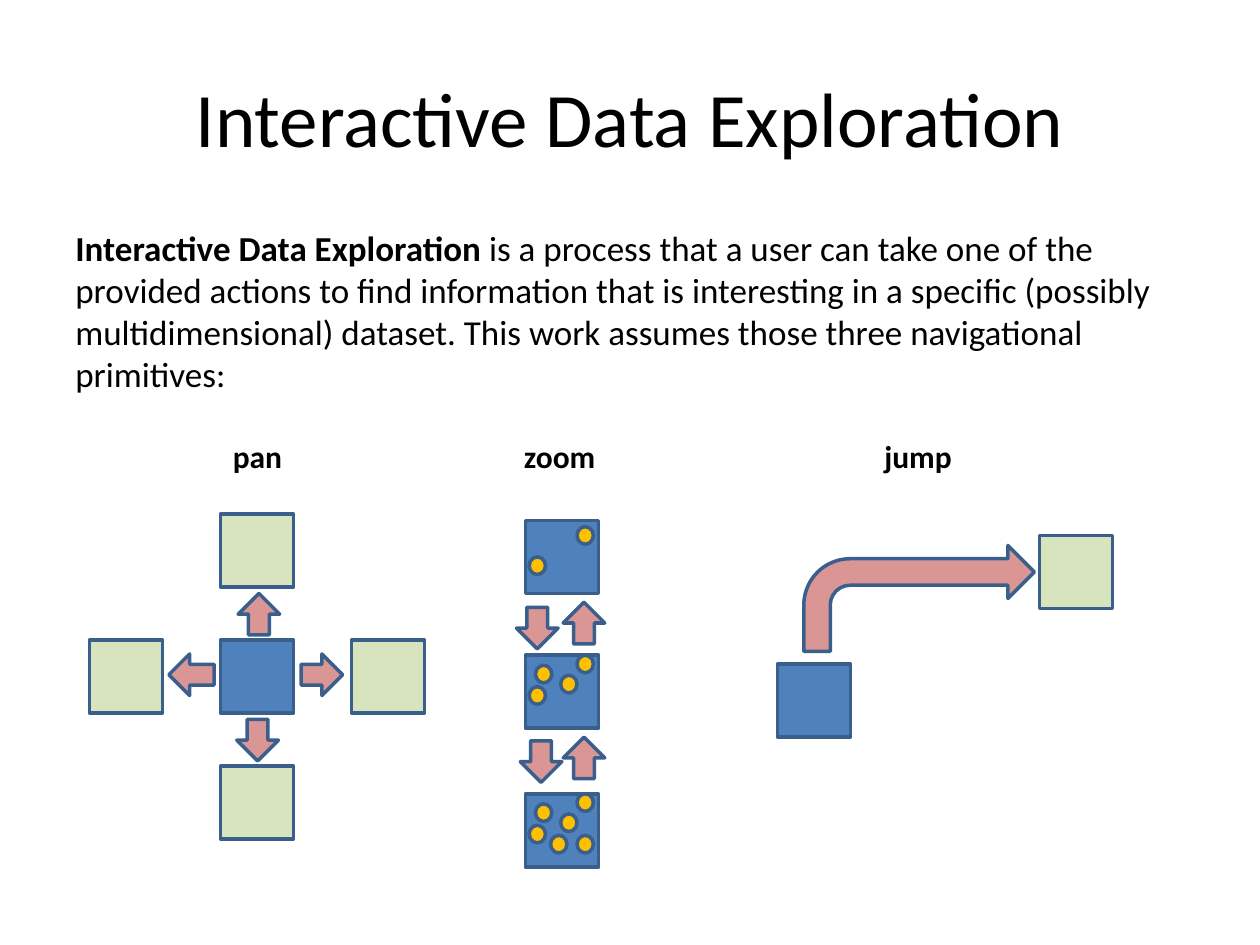
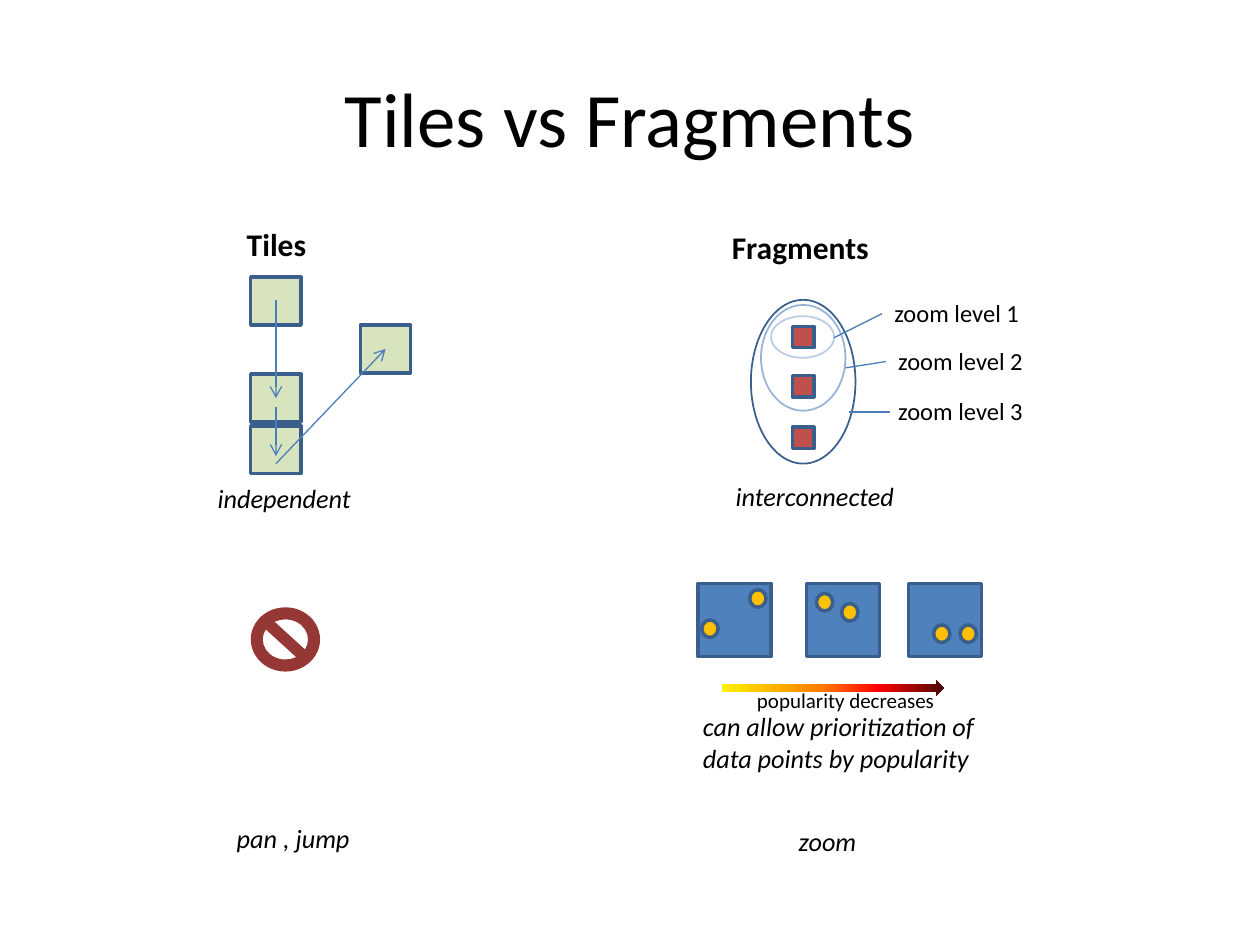
from lxml import etree
from pptx import Presentation
from pptx.dml.color import RGBColor
from pptx.enum.shapes import MSO_CONNECTOR, MSO_SHAPE
from pptx.enum.text import MSO_ANCHOR, MSO_AUTO_SIZE, PP_ALIGN
from pptx.oxml.ns import qn
from pptx.util import Inches, Pt

RECT, OVAL = MSO_SHAPE.RECTANGLE, MSO_SHAPE.OVAL
UP, DOWN = MSO_SHAPE.UP_ARROW, MSO_SHAPE.DOWN_ARROW
LEFT, RIGHT = MSO_SHAPE.LEFT_ARROW, MSO_SHAPE.RIGHT_ARROW
BENT, FORBIDDEN = MSO_SHAPE.BENT_ARROW, MSO_SHAPE.NO_SYMBOL
STRAIGHT = MSO_CONNECTOR.STRAIGHT
CENTER, TOP, MIDDLE = PP_ALIGN.CENTER, MSO_ANCHOR.TOP, MSO_ANCHOR.MIDDLE
NO_AUTOFIT = MSO_AUTO_SIZE.NONE

BLACK = RGBColor(0x00, 0x00, 0x00)
BLUE = RGBColor(0x4F, 0x81, 0xBD)
OUTLINE = RGBColor(0x3A, 0x5F, 0x8C)
CONNECTOR = RGBColor(0x4B, 0x7E, 0xBC)
GREEN = RGBColor(0xD7, 0xE4, 0xBD)
PINK = RGBColor(0xD9, 0x96, 0x94)
RED = RGBColor(0xC0, 0x50, 0x4D)
DARK_RED = RGBColor(0x95, 0x37, 0x35)
YELLOW = RGBColor(0xFF, 0xC0, 0x00)
LEVEL_1 = RGBColor(0xB9, 0xCD, 0xE5)
LEVEL_2 = RGBColor(0x95, 0xB3, 0xD7)
HEAT = [(0, "FFF200"), (45, "FF7A00"), (70, "FF0300"), (100, "4D0808")]

FONT = "Calibri"
TILE = 0.58
ARROW = 0.33

# Data points, as offsets inside a tile, grouped by the zoom level that adds them
POPULAR = [(0.03, 0.29), (0.41, 0.05)]
COMMON = [(0.08, 0.08), (0.28, 0.16)]
RARE = [(0.2, 0.33), (0.41, 0.33)]
EDGE = [(0.03, 0.25), (0.41, 0)]


def add_text(slide, text, x, y, w, h, size, bold=None, italic=None, wrap=False, anchor=TOP):
    tf = slide.shapes.add_textbox(Inches(x), Inches(y), Inches(w), Inches(h)).text_frame
    tf.word_wrap = wrap
    tf.auto_size = NO_AUTOFIT
    tf.vertical_anchor = anchor
    p = tf.paragraphs[0]
    p.add_run().text = text
    p.font.name = FONT
    p.font.size = Pt(size)
    p.font.color.rgb = BLACK
    p.font.bold = bold
    p.font.italic = italic
    return p


def add_title(slide, text):
    p = add_text(slide, text, 0.5, 0.3, 9, 1.25, 44, wrap=True, anchor=MIDDLE)
    p.alignment = CENTER


def add_heading(slide, text, x, y, w):
    add_text(slide, text, x, y, w, 0.4, 18, bold=True)


def add_caption(slide, text, x, y, w, h=0.35, wrap=False):
    add_text(slide, text, x, y, w, h, 15, italic=True, wrap=wrap)


def add_shape(slide, kind, x, y, w, h, fill=None, line=OUTLINE, width=2):
    sp = slide.shapes.add_shape(kind, Inches(x), Inches(y), Inches(w), Inches(h))
    sp.shadow.inherit = False
    if fill is None:
        sp.fill.background()
    else:
        sp.fill.solid()
        sp.fill.fore_color.rgb = fill
    if line is None:
        sp.line.fill.background()
    else:
        sp.line.color.rgb = line
        sp.line.width = Pt(width)
    return sp


def add_tile(slide, x, y, fill, points=()):
    """Square tile with the given data points on it."""
    add_shape(slide, RECT, x, y, TILE, TILE, fill)
    for dx, dy in points:
        add_shape(slide, OVAL, x + dx, y + dy, 0.13, 0.14, YELLOW)


def add_arrow(slide, kind, x, y, w=ARROW, h=ARROW):
    add_shape(slide, kind, x, y, w, h, PINK)


def add_line(slide, start, end, arrow=False):
    c = slide.shapes.add_connector(STRAIGHT, *(Inches(v) for v in (*start, *end)))
    c.line.color.rgb = CONNECTOR
    c.line.width = Pt(0.75)
    if arrow:
        etree.SubElement(c.line._get_or_add_ln(), qn("a:tailEnd"), type="arrow")
    etree.SubElement(c._element.spPr, qn("a:effectLst"))
    return c


def fill_gradient(sp, stops):
    sp.fill.gradient()
    sp.fill.gradient_angle = 0
    gs_list = sp._element.spPr.find(".//" + qn("a:gsLst"))
    for gs in list(gs_list):
        gs_list.remove(gs)
    for percent, color in stops:
        gs = etree.SubElement(gs_list, qn("a:gs"), pos=str(percent * 1000))
        etree.SubElement(gs, qn("a:srgbClr"), val=color)


def draw_pan(slide):
    add_heading(slide, "pan", 1.75, 3.42, 0.6)
    x, y = 1.75, 5.08
    add_tile(slide, x, y, BLUE)
    for dx, dy in [(1.04, 0), (-1.04, 0), (0, 1), (0, -1)]:
        add_tile(slide, x + dx, y + dy, GREEN)
    add_arrow(slide, DOWN, 1.88, 5.71)
    add_arrow(slide, UP, 1.89, 4.71)
    add_arrow(slide, RIGHT, 2.39, 5.19)
    add_arrow(slide, LEFT, 1.34, 5.19, w=0.36)


def draw_zoom(slide):
    add_heading(slide, "zoom", 4.06, 3.42, 0.77)
    levels = [(4.13, POPULAR), (5.2, COMMON + EDGE), (6.3, COMMON + EDGE + RARE)]
    for y, points in levels:
        add_tile(slide, 4.17, y, BLUE, points)
    for down_x, down_y, up_y in [(4.1, 4.82, 4.78), (4.13, 5.88, 5.85)]:
        add_arrow(slide, DOWN, down_x, down_y)
        add_arrow(slide, UP, 4.47, up_y)


def draw_jump(slide):
    add_heading(slide, "jump", 6.92, 3.42, 0.74)
    add_tile(slide, 6.17, 5.27, BLUE)
    add_tile(slide, 8.25, 4.25, GREEN)
    add_arrow(slide, BENT, 6.38, 4.33, 1.83, 0.84)


def exploration_slide(slide):
    add_title(slide, "Interactive Data Exploration")
    p = add_text(slide, "Interactive Data Exploration ", 0.5, 1.75, 9, 4.95, 20, wrap=True)
    p.space_before = Pt(4)
    p.runs[0].font.bold = True
    p.add_run().text = (
        "is a process that a user can take one of the provided actions to find "
        "information that is interesting in a specific (possibly multidimensional) "
        "dataset. This work assumes those three navigational primitives:")
    draw_pan(slide)
    draw_zoom(slide)
    draw_jump(slide)


def draw_tiles(slide):
    add_heading(slide, "Tiles", 1.86, 1.74, 0.68)
    for x, y in [(2.86, 2.58), (1.99, 2.2), (1.99, 2.97), (1.99, 3.38)]:
        add_shape(slide, RECT, x, y, 0.4, 0.38, GREEN)
    moves = [((2.19, 2.38), (2.19, 3.16)),
             ((2.19, 3.23), (2.19, 3.62)),
             ((2.19, 3.68), (3.06, 2.77))]
    for start, end in moves:
        add_line(slide, start, end, arrow=True)
    add_caption(slide, "independent", 1.63, 3.78, 1.27)
    add_shape(slide, FORBIDDEN, 1.99, 4.82, 0.55, 0.51, DARK_RED, line=None)
    add_caption(slide, "pan , jump", 1.78, 6.48, 1.11)


def draw_zoom_levels(slide):
    for y in (2.59, 2.98, 3.39):
        add_shape(slide, RECT, 6.29, y, 0.17, 0.17, RED)
    rings = [(6.12, 2.51, 0.5, 0.33, LEVEL_1),
             (6.04, 2.42, 0.67, 0.84, LEVEL_2),
             (5.96, 2.38, 0.83, 1.3, OUTLINE)]
    for x, y, w, h, color in rings:
        add_shape(slide, OVAL, x, y, w, h, line=color, width=1)
    labels = [(7, 2.32), (7.03, 2.7), (7.03, 3.09)]
    for level, (x, y) in enumerate(labels, 1):
        add_text(slide, f"zoom level {level}", x, y, 1.2, 0.34, 14)
    leaders = [((7, 2.49), (6.62, 2.68)),
               ((7.03, 2.87), (6.71, 2.92)),
               ((6.74, 3.27), (7.06, 3.27))]
    for start, end in leaders:
        add_line(slide, start, end)


def draw_popularity(slide):
    add_caption(slide, "can allow prioritization of data points by popularity",
                5.48, 5.59, 2.71, 0.61, wrap=True)
    for x, points in [(5.54, POPULAR), (6.4, COMMON), (7.21, RARE)]:
        add_tile(slide, x, 4.63, BLUE, points)
    scale = add_shape(slide, RIGHT, 5.73, 5.4, 1.76, 0.12, line=None)
    fill_gradient(scale, HEAT)
    add_text(slide, "popularity decreases", 5.91, 5.41, 1.66, 0.3, 12)


def comparison_slide(slide):
    add_title(slide, "Tiles vs Fragments")
    draw_tiles(slide)
    add_heading(slide, "Fragments", 5.71, 1.76, 1.3)
    draw_zoom_levels(slide)
    add_caption(slide, "interconnected", 5.74, 3.76, 1.47)
    draw_popularity(slide)
    add_caption(slide, "zoom", 6.24, 6.5, 0.67)


def main():
    prs = Presentation()
    prs.slide_width = Inches(10)
    prs.slide_height = Inches(7.5)
    blank = prs.slide_layouts[6]
    for build in (exploration_slide, comparison_slide):
        build(prs.slides.add_slide(blank))
    prs.save("out.pptx")


if __name__ == "__main__":
    main()
